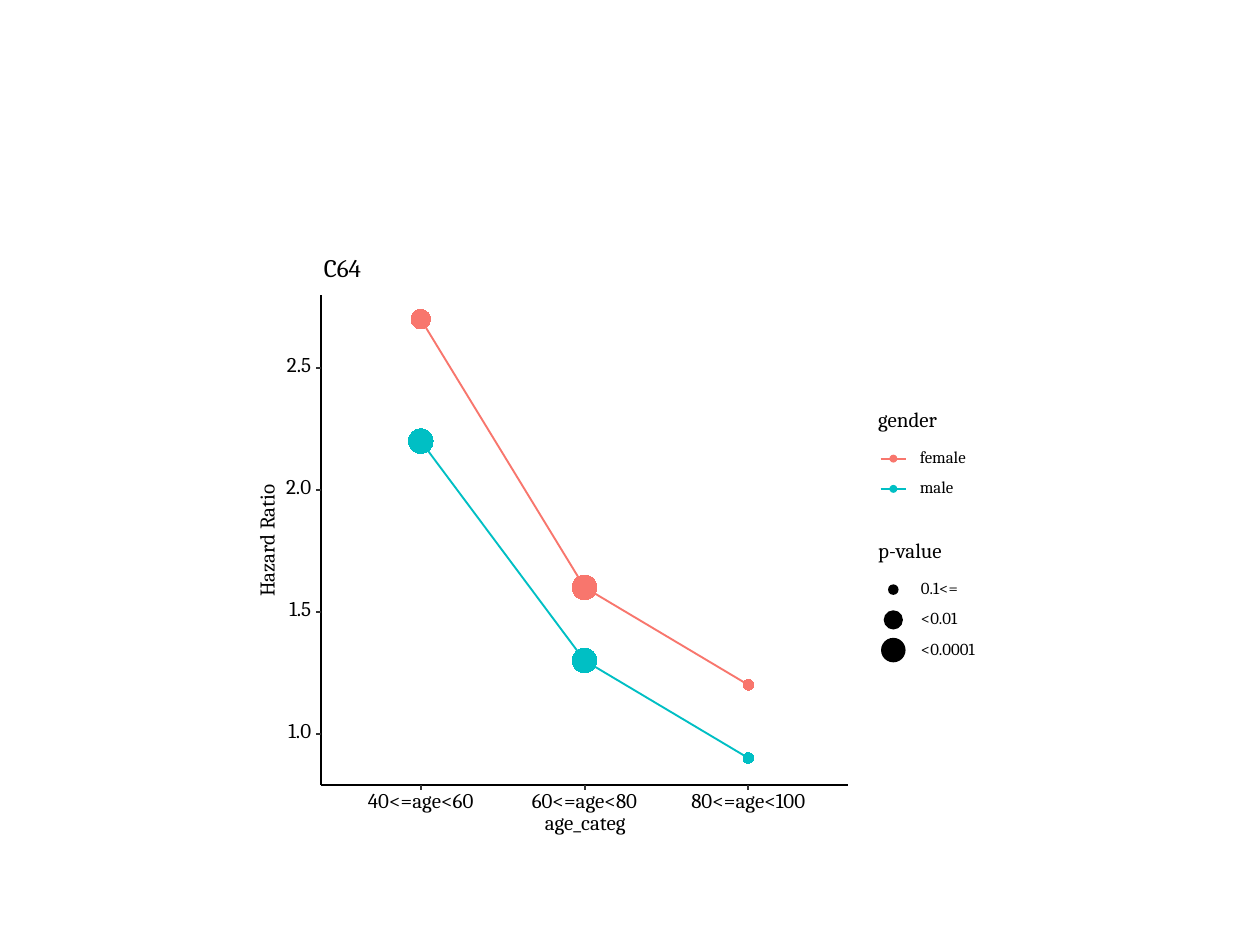
from lxml.etree import SubElement
from pptx import Presentation
from pptx.chart.data import CategoryChartData
from pptx.dml.color import RGBColor
from pptx.enum.chart import XL_CHART_TYPE, XL_MARKER_STYLE, XL_TICK_MARK
from pptx.enum.shapes import MSO_CONNECTOR, MSO_SHAPE
from pptx.enum.text import MSO_ANCHOR, MSO_AUTO_SIZE, PP_ALIGN
from pptx.oxml.ns import qn
from pptx.util import Inches, Pt

COLOURS = {"female": "F8766D", "male": "00BFC4", "axis": "000000", "tick": "333333"}
FONT = "Cambria"
CATEGORIES = ["40<=age<60", "60<=age<80", "80<=age<100"]
RATIOS = {"female": [2.7, 1.6, 1.2], "male": [2.2, 1.3, 0.9]}
# Marker diameters in points, one for each p-value class
SIZES = {"0.1<=": 6, "<0.01": 11, "<0.0001": 14}
P_VALUES = {"female": ["<0.01", "<0.0001", "0.1<="],
            "male": ["<0.0001", "<0.0001", "0.1<="]}

# Panel edges in inches, and the value scale
LEFT, TOP, RIGHT, BOTTOM = 2.55, 2.34, 6.73, 6.23
MIDDLE, STEP = (LEFT + RIGHT) / 2, 1.3
Y_MIN, Y_MAX = 0.79, 2.8
TICK = 0.04
LEGEND_LEFT, KEY_X, LABEL_X, ROW = 6.97, 7.09, 7.3, 0.24


def rgb(name):
    return RGBColor.from_string(COLOURS[name])


def set_format(target, values):
    for name, value in values.items():
        setattr(target, name, value)


def style_font(font, size):
    set_format(font, {"name": FONT, "size": Pt(size), "bold": False})
    font.color.rgb = rgb("axis")


def write_text(shape, text, size, align=PP_ALIGN.LEFT):
    frame = shape.text_frame
    set_format(frame, {"margin_left": 0, "margin_right": 0, "margin_top": 0,
                       "margin_bottom": 0, "word_wrap": False,
                       "auto_size": MSO_AUTO_SIZE.NONE,
                       "vertical_anchor": MSO_ANCHOR.MIDDLE})
    paragraph = frame.paragraphs[0]
    set_format(paragraph, {"text": text, "alignment": align, "line_spacing": Pt(size)})
    style_font(paragraph.runs[0].font, size)


def add_label(slide, text, left, middle, width, size=12, align=PP_ALIGN.LEFT):
    height = 0.15
    box = slide.shapes.add_textbox(Inches(left), Inches(middle - height / 2),
                                   Inches(width), Inches(height))
    write_text(box, text, size, align)
    return box


def add_line(slide, x1, y1, x2, y2, colour, width=1.07):
    line = slide.shapes.add_connector(MSO_CONNECTOR.STRAIGHT, *map(Inches, (x1, y1, x2, y2)))
    line.line.color.rgb = rgb(colour)
    line.line.width = Pt(width)
    SubElement(line._element.spPr, qn("a:effectLst"))


def add_dot(slide, x, y, points, colour):
    diameter = points / 72
    dot = slide.shapes.add_shape(MSO_SHAPE.OVAL, Inches(x - diameter / 2),
                                 Inches(y - diameter / 2), Pt(points), Pt(points))
    dot.shadow.inherit = False
    dot.fill.solid()
    dot.fill.fore_color.rgb = rgb(colour)
    dot.line.fill.background()


def add_title(slide, text):
    title = slide.shapes.title
    set_format(title, {"left": Inches(LEFT + 0.02), "top": Inches(2.07),
                       "width": Inches(0.33), "height": Inches(0.15)})
    write_text(title, text, 14.4)


def fix_plot_area(chart, shares):
    """Pin the inner plot area to shares of the chart frame."""
    plot_area = chart._chartSpace.chart.plotArea
    layout = plot_area.find(qn("c:layout"))
    if layout is None:
        layout = SubElement(plot_area, qn("c:layout"))
        plot_area.insert(0, layout)
    manual = SubElement(layout, qn("c:manualLayout"))
    settings = {"layoutTarget": "inner", "xMode": "edge", "yMode": "edge", **shares}
    for name, value in settings.items():
        SubElement(manual, qn(f"c:{name}")).set("val", str(value))


def style_series(series, name):
    series.smooth = False
    series.format.line.color.rgb = rgb(name)
    series.format.line.width = Pt(1.07)
    for index, p_value in enumerate(P_VALUES[name]):
        point = series.points[index]
        point.format.line.color.rgb = rgb(name)
        point.format.line.width = Pt(1.07)
        marker = point.marker
        set_format(marker, {"style": XL_MARKER_STYLE.CIRCLE, "size": SIZES[p_value]})
        marker.format.fill.solid()
        marker.format.fill.fore_color.rgb = rgb(name)
        marker.format.line.fill.background()


def add_ratio_chart(slide):
    data = CategoryChartData(number_format="0.0")
    data.categories = CATEGORIES
    for name, values in RATIOS.items():
        data.add_series(name, values)
    x, y, width, height = 2.2, 2.3, 4.6, 4.3
    chart = slide.shapes.add_chart(XL_CHART_TYPE.LINE_MARKERS,
                                   *map(Inches, (x, y, width, height)), data).chart
    set_format(chart, {"has_legend": False, "has_title": False})
    style_font(chart.font, 12)
    chart.plots[0].vary_by_categories = False
    set_format(chart.value_axis, {"minimum_scale": Y_MIN, "maximum_scale": Y_MAX,
                                  "has_major_gridlines": False, "visible": False})
    category_axis = chart.category_axis
    set_format(category_axis, {"major_tick_mark": XL_TICK_MARK.NONE,
                               "has_major_gridlines": False})
    category_axis.tick_labels.offset = 0
    category_axis.format.line.fill.background()
    for series in chart.plots[0].series:
        style_series(series, series.name)
    plot_width = STEP * len(CATEGORIES)
    fix_plot_area(chart, {"x": round((MIDDLE - plot_width / 2 - x) / width, 4),
                          "y": round((TOP - y) / height, 4),
                          "w": round(plot_width / width, 4),
                          "h": round((BOTTOM - TOP) / height, 4)})


def add_axes(slide):
    add_line(slide, LEFT, BOTTOM, LEFT, TOP, "axis")
    add_line(slide, LEFT, BOTTOM, RIGHT, BOTTOM, "axis")
    for value in (1.0, 1.5, 2.0, 2.5):
        y = BOTTOM - (value - Y_MIN) / (Y_MAX - Y_MIN) * (BOTTOM - TOP)
        add_line(slide, LEFT - TICK, y, LEFT, y, "tick", 1.16)
        add_label(slide, f"{value:.1f}", 2.26, y - 0.01, 0.21, align=PP_ALIGN.RIGHT)
    for index in range(len(CATEGORIES)):
        x = MIDDLE + (index - 1) * STEP
        add_line(slide, x, BOTTOM + TICK, x, BOTTOM, "tick", 1.16)
    add_label(slide, "age_categ", 4.31, 6.54, 0.67, align=PP_ALIGN.CENTER)
    add_label(slide, "Hazard Ratio", 1.69, 4.29, 0.88, align=PP_ALIGN.CENTER).rotation = 270


def add_legends(slide):
    # Colours of the lines
    add_label(slide, "gender", LEGEND_LEFT, 3.34, 0.45)
    for row, name in enumerate(RATIOS):
        y = 3.64 + row * ROW
        add_line(slide, KEY_X - 0.1, y, KEY_X + 0.1, y, name)
        add_dot(slide, KEY_X, y, 4.5, name)
        add_label(slide, name, LABEL_X, y, 0.36, 9.6)
    # Sizes of the dots
    add_label(slide, "p-value", LEGEND_LEFT, 4.38, 0.5)
    for row, (name, points) in enumerate(SIZES.items()):
        y = 4.68 + row * ROW
        add_dot(slide, KEY_X, y, points, "axis")
        add_label(slide, name, LABEL_X + 0.01, y, 0.44, 9.6)


def main():
    presentation = Presentation()
    set_format(presentation, {"slide_width": Inches(10), "slide_height": Inches(7.5)})
    slide = presentation.slides.add_slide(presentation.slide_layouts[5])
    add_title(slide, "C64")
    add_ratio_chart(slide)
    add_axes(slide)
    add_legends(slide)
    presentation.save("out.pptx")


if __name__ == "__main__":
    main()
